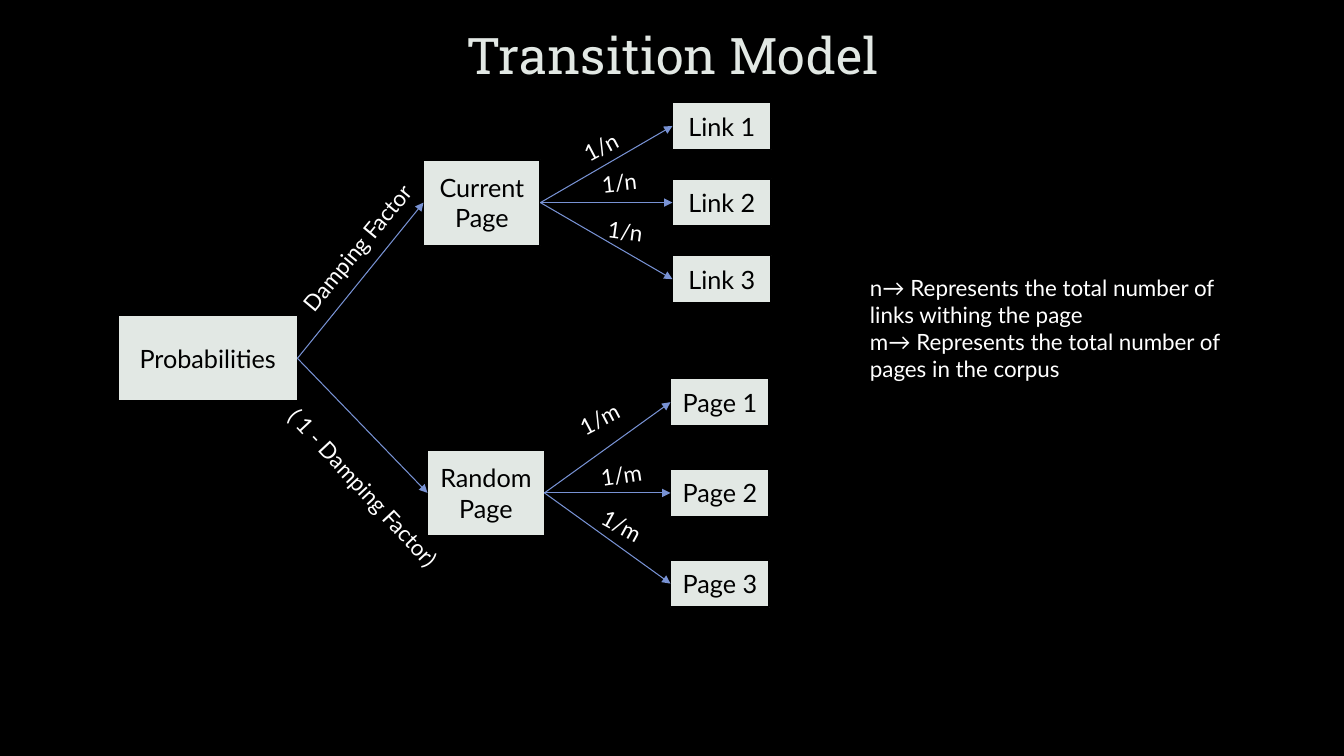
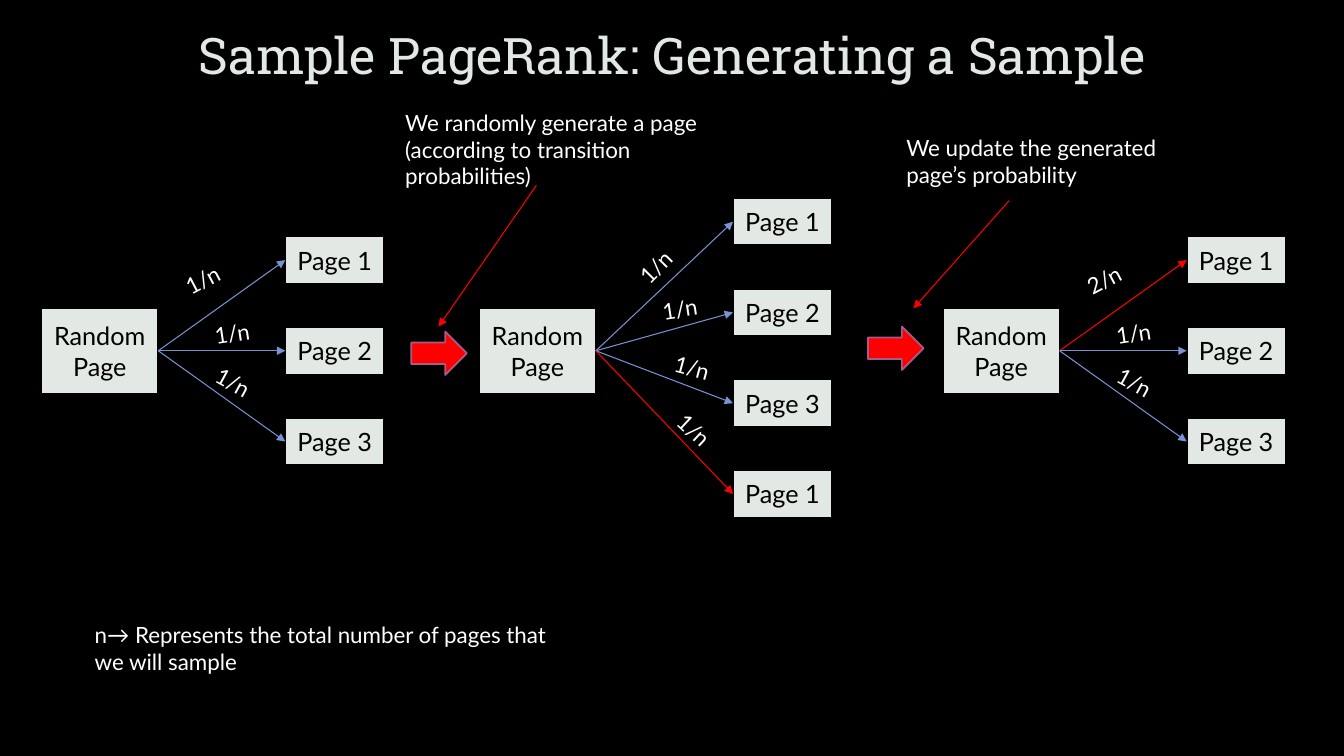
import pptx
import pptx.util
import pptx.dml.color
import pptx.enum.shapes
import pptx.enum.text
import pptx.oxml.ns
from lxml import etree

# Shared look
BLACK, WHITE, PALE = "000000", "FFFFFF", "E2E8E4"
BLUE, RED, PLUM = "7892D4", "FF0000", "A45D89"
TITLE_FONT, BODY_FONT = "Roboto Slab", "Lato"
WIDTH, HEIGHT = 13.33, 7.5
TITLE_BOX = (1.01, 0.21, 11.32, 0.65)
ROOT_WIDTH, ROOT_HEIGHT = 1.16, 0.85
LEAF_WIDTH, LEAF_HEIGHT = 0.98, 0.47
LABEL_HEIGHT, LABEL_WIDTH = 0.37, 0.69
ARROW_WIDTH, ARROW_HEIGHT = 0.55, 0.43
RIGHT_SITE, LEFT_SITE = 3, 1

# Branch labels: offset from the root's right middle, then rotation
PAGE_LABELS = [(0.16, -0.92, 332.3), (0.46, -0.37, 351.5), (0.46, 0.16, 28.7)]
MODEL_LABELS = [(0.24, -0.94, 332.3)] + PAGE_LABELS[1:]
LINK_LABELS = [(0.32, -0.77, 332.3), (0.51, -0.39, 353.9), (0.57, 0.11, 7.7)]
SAMPLE_LABELS = [(0.3, -1.07, 314.6), (0.56, -0.61, 351.5),
                 (0.68, 0, 15.2), (0.68, 0.65, 42.9)]
PAGES = ["Page 1", "Page 2", "Page 3"]

# Content: fans hold root, left, middle, leaf left, leaf middle, pitch,
# leaves, label places, label texts and the index of the red branch
SLIDES = [
    {"title": "Transition Model",
     "start": ("Probabilities", 1.17, 3.13, 1.78, ROOT_HEIGHT),
     "fans": [
         ("Current Page", 4.2, 2.01, 6.67, 2.01, 0.76,
          ["Link 1", "Link 2", "Link 3"], LINK_LABELS, ["1/n"] * 3, None),
         ("Random Page", 4.24, 4.89, 6.65, 4.89, 0.9,
          PAGES, MODEL_LABELS, ["1/m"] * 3, None)],
     "texts": [
         (["Damping Factor"], 2.6, 2.12, 2.13, LABEL_HEIGHT, 309.5),
         (["( 1 - Damping Factor)"], 2.47, 4.68, 2.31, LABEL_HEIGHT, 47.1),
         (["n→ Represents the total number of links withing the page",
           "m→ Represents the total number of pages in the corpus"],
          8.53, 2.67, 3.92, 1.18, 0)]},
    {"title": "Sample PageRank: Generating a Sample",
     "fans": [
         ("Random Page", 0.41, 3.48, 2.83, 3.48, 0.9,
          PAGES, PAGE_LABELS, ["1/n"] * 3, None),
         ("Random Page", 4.75, 3.48, 7.27, 3.55, 0.9,
          PAGES + ["Page 1"], SAMPLE_LABELS, ["1/n"] * 4, 3),
         ("Random Page", 9.35, 3.48, 11.77, 3.48, 0.9,
          PAGES, PAGE_LABELS, ["2/n", "1/n", "1/n"], 0)],
     "texts": [
         (["n→ Represents the total number of pages that we will sample"],
          0.84, 6.11, 4.95, 0.64, 0),
         (["We randomly generate a page (according to transition "
           "probabilities)"], 3.92, 1.03, 3.22, 0.91, 0),
         (["We update the generated page’s probability"],
          8.89, 1.28, 3.22, 0.64, 0)],
     "block_arrows": [(4.08, 3.29), (8.61, 3.24)],
     "pointers": [(5.32, 1.84, 4.35, 3.24), (10.01, 1.99, 9.06, 3.06)]},
]


def color(value):
    return pptx.dml.color.RGBColor.from_string(value)


def inches(*lengths):
    return [pptx.util.Inches(length) for length in lengths]


def paint(fill, value):
    fill.solid()
    fill.fore_color.rgb = color(value)


def write(text_frame, lines, size, value, font=BODY_FONT, centered=False):
    text_frame.text = "\n".join(lines)
    text_frame.word_wrap = True
    for paragraph in text_frame.paragraphs:
        paragraph.alignment = (pptx.enum.text.PP_ALIGN.CENTER if centered
                               else pptx.enum.text.PP_ALIGN.LEFT)
        for run in paragraph.runs:
            run.font.name = font
            run.font.size = pptx.util.Pt(size)
            run.font.color.rgb = color(value)


def add_block(slide, preset, box, fill, outline):
    shape = slide.shapes.add_shape(preset, *inches(*box))
    shape.shadow.inherit = False
    paint(shape.fill, fill)
    shape.line.color.rgb = color(outline)
    shape.line.width = pptx.util.Pt(1.25)
    return shape


def add_node(slide, name, *box):
    shape = add_block(slide, pptx.enum.shapes.MSO_SHAPE.RECTANGLE,
                      box, PALE, BLACK)
    write(shape.text_frame, [name], 18, BLACK, centered=True)
    shape.text_frame.vertical_anchor = pptx.enum.text.MSO_ANCHOR.MIDDLE
    return shape


def add_text(slide, lines, left, top, width, height, rotation):
    shape = slide.shapes.add_textbox(*inches(left, top, width, height))
    write(shape.text_frame, lines, 16, WHITE)
    shape.text_frame.auto_size = pptx.enum.text.MSO_AUTO_SIZE.SHAPE_TO_FIT_TEXT
    shape.rotation = rotation


def add_arrow(slide, value, ends=(0, 0, 1, 1)):
    connector = slide.shapes.add_connector(
        pptx.enum.shapes.MSO_CONNECTOR.STRAIGHT, *inches(*ends))
    connector.line.color.rgb = color(value)
    connector.line.width = pptx.util.Pt(0.75)
    qn = pptx.oxml.ns.qn
    properties = connector.element.spPr
    etree.SubElement(properties.find(qn("a:ln")), qn("a:tailEnd"),
                     type="triangle")
    etree.SubElement(properties, qn("a:effectLst"))
    return connector


def join(slide, parent, child, value=BLUE):
    connector = add_arrow(slide, value)
    connector.begin_connect(parent, RIGHT_SITE)
    connector.end_connect(child, LEFT_SITE)


def add_fan(slide, name, left, middle, leaf_left, leaf_middle, pitch,
            leaves, places, labels, red_index):
    root = add_node(slide, name, left, middle - ROOT_HEIGHT / 2,
                    ROOT_WIDTH, ROOT_HEIGHT)
    first_top = leaf_middle - pitch * (len(leaves) - 1) / 2 - LEAF_HEIGHT / 2
    for index, (leaf, place, label) in enumerate(zip(leaves, places, labels)):
        node = add_node(slide, leaf, leaf_left, first_top + index * pitch,
                        LEAF_WIDTH, LEAF_HEIGHT)
        join(slide, root, node, RED if index == red_index else BLUE)
        across, down, rotation = place
        add_text(slide, [label], left + ROOT_WIDTH + across, middle + down,
                 LABEL_WIDTH, LABEL_HEIGHT, rotation)
    return root


def add_title(slide, title):
    shape = slide.shapes.title
    shape.left, shape.top, shape.width, shape.height = inches(*TITLE_BOX)
    write(shape.text_frame, [title], 36, PALE, TITLE_FONT, centered=True)
    shape.text_frame.vertical_anchor = pptx.enum.text.MSO_ANCHOR.MIDDLE
    shape.text_frame.auto_size = pptx.enum.text.MSO_AUTO_SIZE.NONE


# Presentation with a black master
presentation = pptx.Presentation()
presentation.slide_width, presentation.slide_height = inches(WIDTH, HEIGHT)
paint(presentation.slide_master.background.fill, BLACK)
title_only = presentation.slide_layouts.get_by_name("Title Only")

for content in SLIDES:
    slide = presentation.slides.add_slide(title_only)
    add_title(slide, content["title"])

    # Trees
    roots = [add_fan(slide, *fan) for fan in content["fans"]]
    if "start" in content:
        start = add_node(slide, *content["start"])
        for root in roots:
            join(slide, start, root)

    # Notes and arrows
    for text in content["texts"]:
        add_text(slide, *text)
    for left, top in content.get("block_arrows", []):
        add_block(slide, pptx.enum.shapes.MSO_SHAPE.RIGHT_ARROW,
                  (left, top, ARROW_WIDTH, ARROW_HEIGHT), RED, PLUM)
    for ends in content.get("pointers", []):
        add_arrow(slide, RED, ends)

presentation.save("out.pptx")
